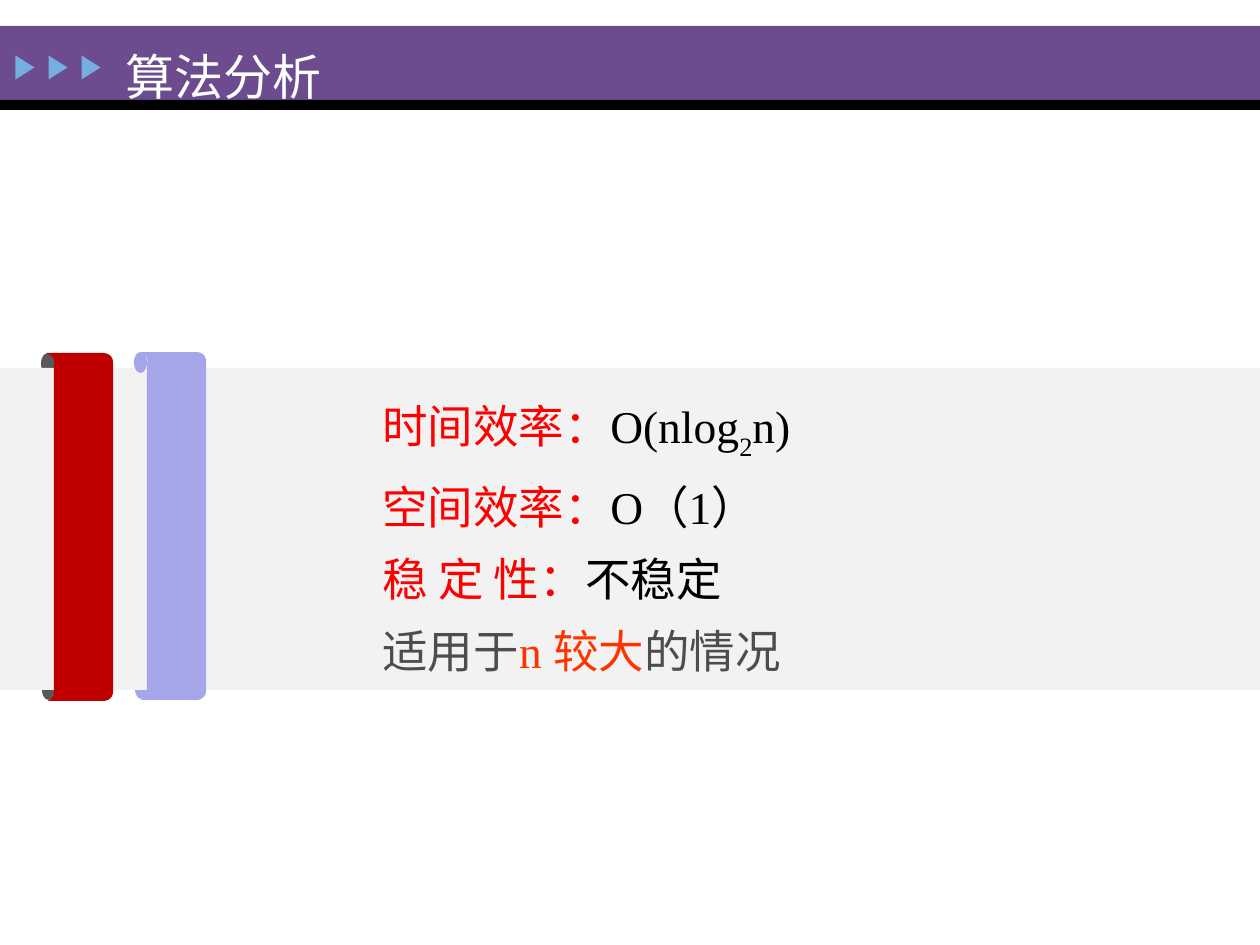
from pptx import Presentation
from pptx.dml.color import RGBColor
from pptx.enum.shapes import MSO_SHAPE as Preset
from pptx.enum.text import MSO_ANCHOR as Anchor, MSO_AUTO_SIZE as AutoSize
from pptx.util import Emu, Pt

SCALE = 914400 / 126
FINE = 10
FONT = "Times New Roman"
COLORS = {
    "paper": "FEFFFF", "purple": "6C4C8F", "black": "000000", "sky": "76AEDD",
    "lilac": "A5A5E9", "gray": "595959", "band": "F2F2F2", "crimson": "C00000",
    "red": "FF0000", "dark": "4D4D4D", "orange": "FF3300",
}


def paint(shape, color):
    shape.shadow.inherit = False
    shape.fill.solid()
    shape.fill.fore_color.rgb = RGBColor.from_string(COLORS[color])
    shape.line.fill.background()


def write(box_px, lines, size, spacing, before, fit):
    box = page.shapes.add_textbox(*[Emu(round(v * SCALE)) for v in box_px])
    frame = box.text_frame
    settings = {"word_wrap": True, "vertical_anchor": Anchor.TOP, "auto_size": fit}
    for name, value in settings.items():
        setattr(frame, name, value)
    for index, line in enumerate(lines):
        para = frame.paragraphs[0] if index == 0 else frame.add_paragraph()
        para.line_spacing = spacing
        para.space_before = Pt(before if index else 0)
        for text, color, *baseline in line:
            span = para.add_run()
            span.text = text
            for name, value in {"name": FONT, "size": Pt(size)}.items():
                setattr(span.font, name, value)
            span.font.color.rgb = RGBColor.from_string(COLORS[color])
            if baseline:
                span.font._element.set("baseline", str(baseline[0]))


deck = Presentation()
deck.slide_width = Emu(round(1260 * SCALE))
deck.slide_height = Emu(round(945 * SCALE))
page = deck.slides.add_slide(deck.slide_layouts[6])
page.background.fill.solid()
page.background.fill.fore_color.rgb = RGBColor.from_string(COLORS["paper"])

header = [
    (Preset.RECTANGLE, (0, 26, 1260, 74), "purple", 0),
    (Preset.RECTANGLE, (0, 100, 1260, 10), "black", 0),
]
arrows = [(Preset.ISOSCELES_TRIANGLE, (13 + 33 * i, 58, 24, 19), "sky", 90) for i in range(3)]
curls = [
    (Preset.OVAL, (135, 678, 13, 21), "lilac", 0),
    (Preset.OVAL, (42, 679, 13, 21), "gray", 0),
    (Preset.OVAL, (41, 353, 14, 21), "gray", 0),
    (Preset.RECTANGLE, (0, 368, 1260, 322), "band", 0),
    (Preset.OVAL, (134, 352, 13, 21), "lilac", 0),
]
for preset, place, color, turn in header + arrows + curls:
    shape = page.shapes.add_shape(preset, *[Emu(round(v * SCALE)) for v in place])
    shape.rotation = turn
    paint(shape, color)

ribbon_curves = [
    [(9, 12), (12, 0), (-4, 0), (2, 0)],
    [(58, 0), (64, 0), (68, 4), (68, 9)],
    [(68, 339), (68, 344), (64, 348), (58, 348)],
    [(4, 348), (-1, 348), (9, 348), (9, 339)],
]
outline = []
for curve in ribbon_curves:
    for step in range(13):
        t = step / 12
        weights = ((1 - t) ** 3, 3 * t * (1 - t) ** 2, 3 * t * t * (1 - t), t ** 3)
        outline.append([sum(w * p[axis] for w, p in zip(weights, curve)) for axis in (0, 1)])

for left, top, color in [(45, 353, "crimson"), (138, 352, "lilac")]:
    points = [(round((x + left) * FINE), round((y + top) * FINE)) for x, y in outline]
    builder = page.shapes.build_freeform(*points[0], scale=SCALE / FINE)
    builder.add_line_segments(points[1:], close=True)
    paint(builder.convert_to_shape(), color)

write((113, 26, 336, 73), [[("算法分析", "paper")]], 28, 1.25, 0, AutoSize.NONE)
analysis = [
    [("时间效率：", "red"), ("O(nlog", "black"), ("2", "black", -30000), ("n)", "black")],
    [("空间效率：", "red"), ("O（1）", "black")],
    [("稳 定 性：", "red"), ("不稳定", "black")],
    [("适用于", "dark"), ("n 较大", "orange"), ("的情况", "dark")],
]
write((370, 382, 546, 300), analysis, 26, 1.15, 5.2, AutoSize.SHAPE_TO_FIT_TEXT)

deck.save("out.pptx")
